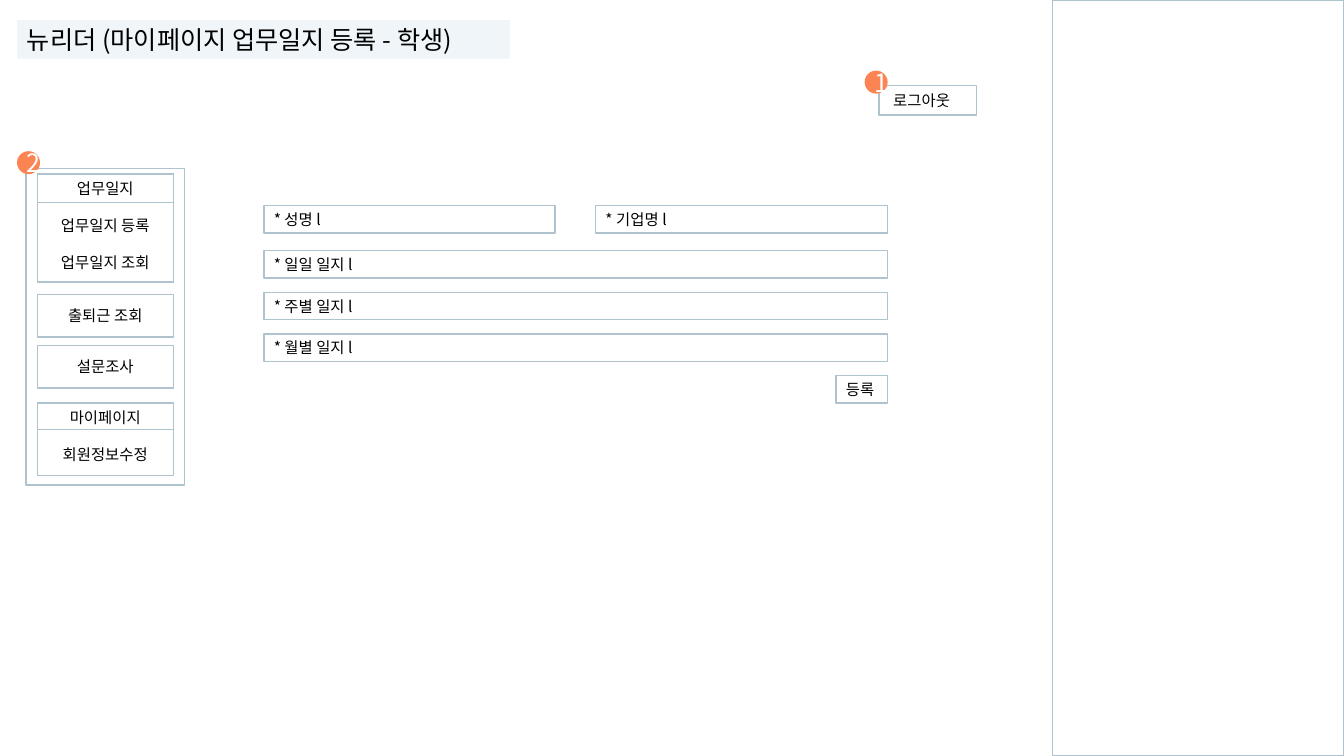
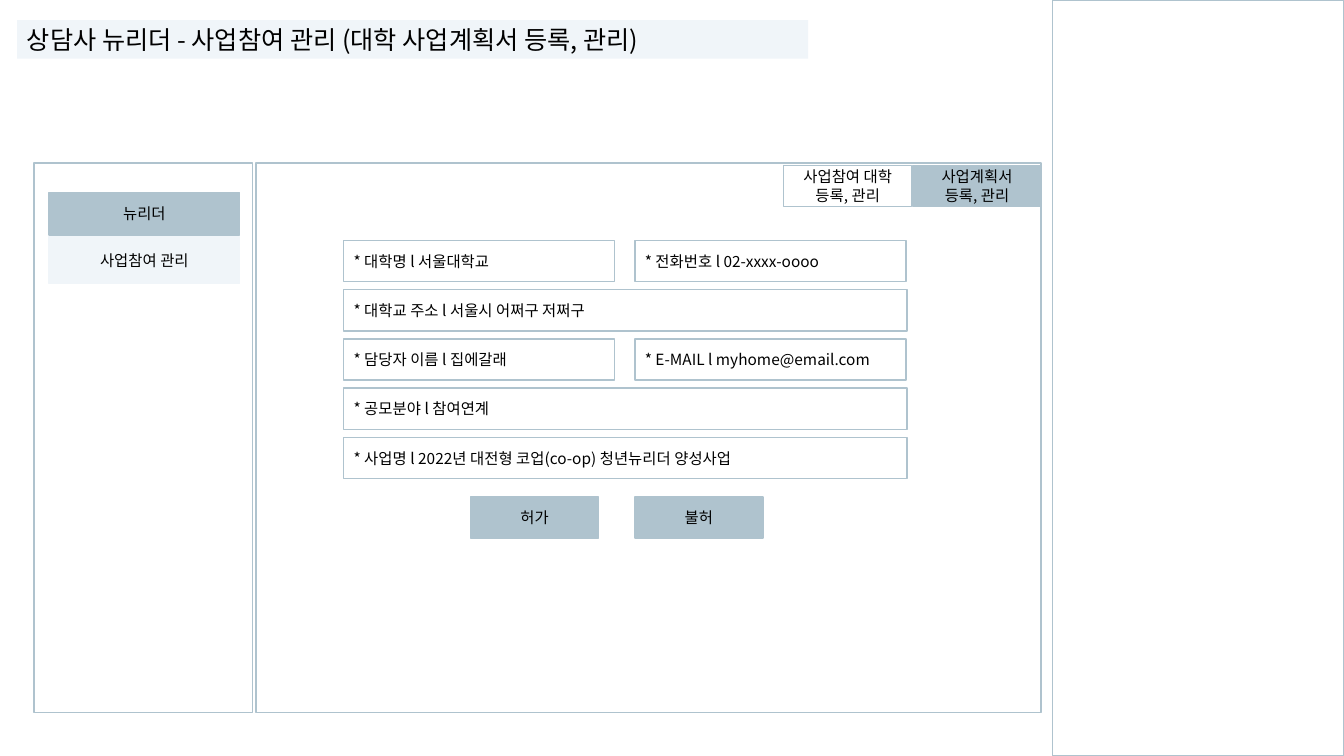
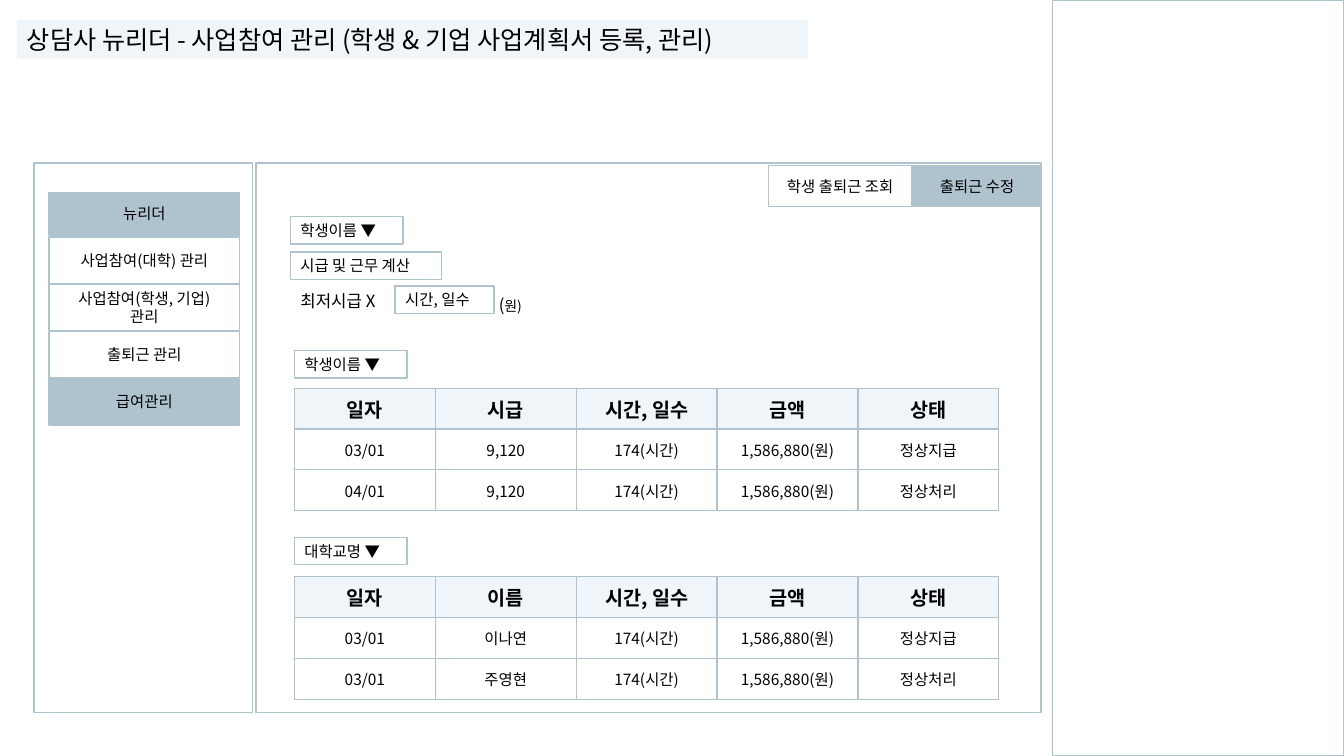
from dataclasses import dataclass

from lxml import etree
from pptx import Presentation
from pptx.dml.color import RGBColor
from pptx.enum import shapes, text
from pptx.oxml.ns import qn
from pptx.util import Cm, Pt


@dataclass(frozen=True)
class Theme:
    font: str = "Noto Sans CJK KR"
    ink: str = "000000"
    white: str = "FFFFFF"
    steel: str = "AFC3CE"
    pale: str = "F0F5F9"
    badge: str = "FC8453"
    title: int = 18
    heading: int = 14
    label: int = 12
    body: int = 11
    small: int = 10
    line: int = 1


@dataclass(frozen=True)
class Box:
    """Lengths in centimetres."""
    x: float
    y: float
    w: float
    h: float

    def inside(self, dx, dy, w, h):
        return Box(self.x + dx, self.y + dy, w, h)

    def emu(self):
        return Cm(self.x), Cm(self.y), Cm(self.w), Cm(self.h)


THEME = Theme()
FIELD_HEIGHT = 0.69
BUTTON_HEIGHT = 1.04
LEFT, CENTER = text.PP_ALIGN.LEFT, text.PP_ALIGN.CENTER
TOP, MIDDLE = text.MSO_ANCHOR.TOP, text.MSO_ANCHOR.MIDDLE


# Basic parts

def rgb(value):
    return RGBColor.from_string(value)


def write(frame, lines, size=THEME.body, color=THEME.ink, bold=False,
          align=LEFT, anchor=MIDDLE, gap=0):
    """Fill a frame; a line is a string or a list of (string, size) runs."""
    frame.word_wrap = True
    frame.vertical_anchor = anchor
    for index, line in enumerate([lines] if isinstance(lines, str) else lines):
        paragraph = frame.paragraphs[0] if index == 0 else frame.add_paragraph()
        paragraph.alignment = align
        if index and gap:
            paragraph.space_before = Pt(gap)
        for content, run_size in [(line, size)] if isinstance(line, str) else line:
            run = paragraph.add_run()
            run.text = content
            run.font.name = THEME.font
            run.font.size = Pt(run_size)
            run.font.bold = bold
            run.font.color.rgb = rgb(color)
            east_asian = etree.SubElement(run.font._element, qn("a:ea"))
            east_asian.set("typeface", THEME.font)


def panel(slide, box, lines=None, fill=None, line=THEME.steel,
          kind=shapes.MSO_SHAPE.RECTANGLE, **text_format):
    shape = slide.shapes.add_shape(kind, *box.emu())
    shape.shadow.inherit = False
    if fill:
        shape.fill.solid()
        shape.fill.fore_color.rgb = rgb(fill)
    else:
        shape.fill.background()
    if line:
        shape.line.color.rgb = rgb(line)
        shape.line.width = Pt(THEME.line)
    else:
        shape.line.fill.background()
    if lines:
        write(shape.text_frame, lines, **text_format)
    return shape


def label(slide, box, lines, **text_format):
    frame = slide.shapes.add_textbox(*box.emu()).text_frame
    write(frame, lines, anchor=TOP, **text_format)


def divider(slide, box, offset):
    y = Cm(box.y + offset)
    rule = slide.shapes.add_connector(
        shapes.MSO_CONNECTOR.STRAIGHT, Cm(box.x), y, Cm(box.x + box.w), y)
    rule.line.color.rgb = rgb(THEME.steel)
    rule.line.width = Pt(THEME.line)
    etree.SubElement(rule._element.spPr, qn("a:effectLst"))


def badge(slide, x, y, number):
    panel(slide, Box(x, y, 0.58, 0.58), number, fill=THEME.badge, line=None,
          kind=shapes.MSO_SHAPE.OVAL, size=THEME.title, color=THEME.white,
          align=CENTER)


# Parts shared by all slides

def new_slide(presentation, title, title_width):
    slide = presentation.slides.add_slide(presentation.slide_layouts[6])
    panel(slide, Box(0.43, 0.51, title_width, 0.97), title, fill=THEME.pale,
          line=None, size=THEME.title)
    panel(slide, Box(26.52, 0, 7.34, 19.05))
    return slide


# Student page regions

def student_menu(slide, box):
    panel(slide, box)
    entries = [
        (0.15, 2.72, 0.72, ["업무일지", "업무일지 등록", "업무일지 조회"]),
        (3.18, 1.07, None, ["출퇴근 조회"]),
        (4.47, 1.07, None, ["설문조사"]),
        (5.92, 1.83, 0.66, ["마이페이지", "회원정보수정"]),
    ]
    for top, height, rule, lines in entries:
        entry = box.inside(0.28, top, 3.43, height)
        panel(slide, entry, lines, align=CENTER, gap=13.2,
              anchor=TOP if rule else MIDDLE)
        if rule:
            divider(slide, entry, rule)
    badge(slide, box.x - 0.23, box.y - 0.43, "2")


def journal_form(slide, box):
    panel(slide, box.inside(0, 0, 7.34, FIELD_HEIGHT), "* 성명 l")
    panel(slide, box.inside(8.36, 0, box.w - 8.36, FIELD_HEIGHT), "* 기업명 l")
    first, step = 1.14, 1.05
    fields = ["* 일일 일지 l", "* 주별 일지 l", "* 월별 일지 l"]
    for index, field in enumerate(fields):
        panel(slide, box.inside(0, first + index * step, box.w, FIELD_HEIGHT), field)
    panel(slide, box.inside(box.w - 1.3, first + len(fields) * step, 1.3,
                            FIELD_HEIGHT), "등록")


def logout_button(slide, box):
    button = panel(slide, box, "로그아웃")
    button.text_frame.margin_left = Cm(0.36)
    badge(slide, box.x - 0.36, box.y - 0.38, "1")


# Counsellor page regions

def counsellor_menu(slide, box, entries):
    """Entries are (lines, fill, line colour) below the fixed heading."""
    panel(slide, box)
    panel(slide, box.inside(0.38, 0.74, 4.8, 1.07), "뉴리더",
          fill=THEME.steel, align=CENTER)
    for index, (lines, fill, line) in enumerate(entries):
        panel(slide, box.inside(0.38, 1.86 + index * 1.19, 4.8, 1.17), lines,
              fill=fill, line=line, align=CENTER)


def tabs(slide, box, idle, active, idle_width):
    """Two tabs in the top right corner of the box."""
    panel(slide, box)
    for lines, right, width, fill in [(active, 0, 3.23, THEME.steel),
                                      (idle, 3.26, idle_width, None)]:
        panel(slide, box.inside(box.w - right - width, 0.06, width, BUTTON_HEIGHT),
              lines, fill=fill, align=CENTER)


def counsellor_page(presentation, title, entries, idle, active, idle_width):
    slide = new_slide(presentation, title, 19.94)
    main = Box(6.45, 4.11, 19.79, 13.84)
    counsellor_menu(slide, Box(0.86, main.y, 5.51, main.h), entries)
    tabs(slide, main, idle, active, idle_width)
    return slide, main


def plan_form(slide, box):
    half, second, step = 6.83, 7.34, 1.24
    rows = [
        ["* 대학명 l 서울대학교", "* 전화번호 l 02-xxxx-oooo"],
        ["* 대학교 주소 l 서울시 어쩌구 저쩌구"],
        ["* 담당자 이름 l 집에갈래", "* E-MAIL l myhome@email.com"],
        ["* 공모분야 l 참여연계"],
        ["* 사업명 l 2022년 대전형 코업(co-op) 청년뉴리더 양성사업"],
    ]
    for row, fields in enumerate(rows):
        width = box.w if len(fields) == 1 else half
        for column, field in enumerate(fields):
            panel(slide, box.inside(column * second, row * step, width,
                                    BUTTON_HEIGHT), field)
    for left, caption in [(3.2, "허가"), (second, "불허")]:
        panel(slide, box.inside(left, 6.46, 3.23, BUTTON_HEIGHT), caption,
              fill=THEME.steel, align=CENTER)


def wage_calculator(slide, box):
    panel(slide, box.inside(0, 0, 2.84, FIELD_HEIGHT), "학생이름 ▼")
    panel(slide, box.inside(0, 0.89, 3.81, FIELD_HEIGHT), "시급 및 근무 계산")
    label(slide, box.inside(0, 1.73, 2.87, 0.76), "최저시급 X", size=THEME.label)
    panel(slide, box.inside(2.64, 1.75, 2.49, FIELD_HEIGHT), "시간, 일수")
    label(slide, box.inside(5, 1.83, 2.87, 0.76),
          [[("(", THEME.label), ("원)", THEME.small)]])


def border_cell(cell):
    properties = cell._tc.get_or_add_tcPr()
    for side in ("a:lnL", "a:lnR", "a:lnT", "a:lnB"):
        edge = etree.SubElement(properties, qn(side), w=str(Pt(THEME.line)))
        solid = etree.SubElement(edge, qn("a:solidFill"))
        etree.SubElement(solid, qn("a:srgbClr"), val=THEME.steel)


def pay_table(slide, box, selector, table_top, rows):
    """Drop-down selector with a table below it."""
    panel(slide, box.inside(0, 0, 2.84, FIELD_HEIGHT), selector)
    area = box.inside(0, table_top, box.w, 1.03 * len(rows))
    table = slide.shapes.add_table(len(rows), len(rows[0]), *area.emu()).table
    for column in table.columns:
        column.width = Cm(box.w / len(rows[0]))
    for row_index, row in enumerate(rows):
        header = row_index == 0
        for column_index, value in enumerate(row):
            cell = table.cell(row_index, column_index)
            border_cell(cell)
            cell.fill.solid()
            cell.fill.fore_color.rgb = rgb(THEME.pale if header else THEME.white)
            cell.vertical_anchor = MIDDLE
            write(cell.text_frame, value, bold=header, align=CENTER,
                  size=THEME.heading if header else THEME.body)


# Slides

def student_slide(presentation):
    slide = new_slide(presentation, "뉴리더 (마이페이지 업무일지 등록 - 학생)", 12.42)
    logout_button(slide, Box(22.15, 2.16, 2.46, 0.74))
    student_menu(slide, Box(0.66, 4.24, 3.99, 7.98))
    journal_form(slide, Box(6.65, 5.18, 15.72, 4.98))


def plan_slide(presentation):
    slide, main = counsellor_page(
        presentation, "상담사 뉴리더 - 사업참여 관리 (대학 사업계획서 등록, 관리)",
        [("사업참여 관리", THEME.pale, THEME.pale)],
        ["사업참여 대학", "등록, 관리"], ["사업계획서", "등록, 관리"], 3.23)
    plan_form(slide, main.inside(2.21, 1.95, 14.2, 7.5))


def pay_slide(presentation):
    slide, main = counsellor_page(
        presentation, "상담사 뉴리더 - 사업참여 관리 (학생 & 기업 사업계획서 등록, 관리)",
        [("사업참여(대학) 관리", None, THEME.steel),
         (["사업참여(학생, 기업)", "관리"], None, THEME.steel),
         ("출퇴근 관리", None, THEME.steel),
         ("급여관리", THEME.steel, THEME.steel)],
        "학생 출퇴근 조회", "출퇴근 수정", 3.61)
    wage_calculator(slide, main.inside(0.87, 1.35, 7.87, 2.59))
    hours, amount = "174(시간)", "1,586,880(원)"
    pay_table(slide, main.inside(0.97, 4.73, 17.75, 4.03), "학생이름 ▼", 0.94, [
        ["일자", "시급", "시간, 일수", "금액", "상태"],
        ["03/01", "9,120", hours, amount, "정상지급"],
        ["04/01", "9,120", hours, amount, "정상처리"]])
    pay_table(slide, main.inside(0.97, 9.43, 17.75, 4.08), "대학교명 ▼", 0.99, [
        ["일자", "이름", "시간, 일수", "금액", "상태"],
        ["03/01", "이나연", hours, amount, "정상지급"],
        ["03/01", "주영현", hours, amount, "정상처리"]])


def main():
    presentation = Presentation()
    presentation.slide_width, presentation.slide_height = Cm(33.87), Cm(19.05)
    student_slide(presentation)
    plan_slide(presentation)
    pay_slide(presentation)
    presentation.save("out.pptx")


if __name__ == "__main__":
    main()
